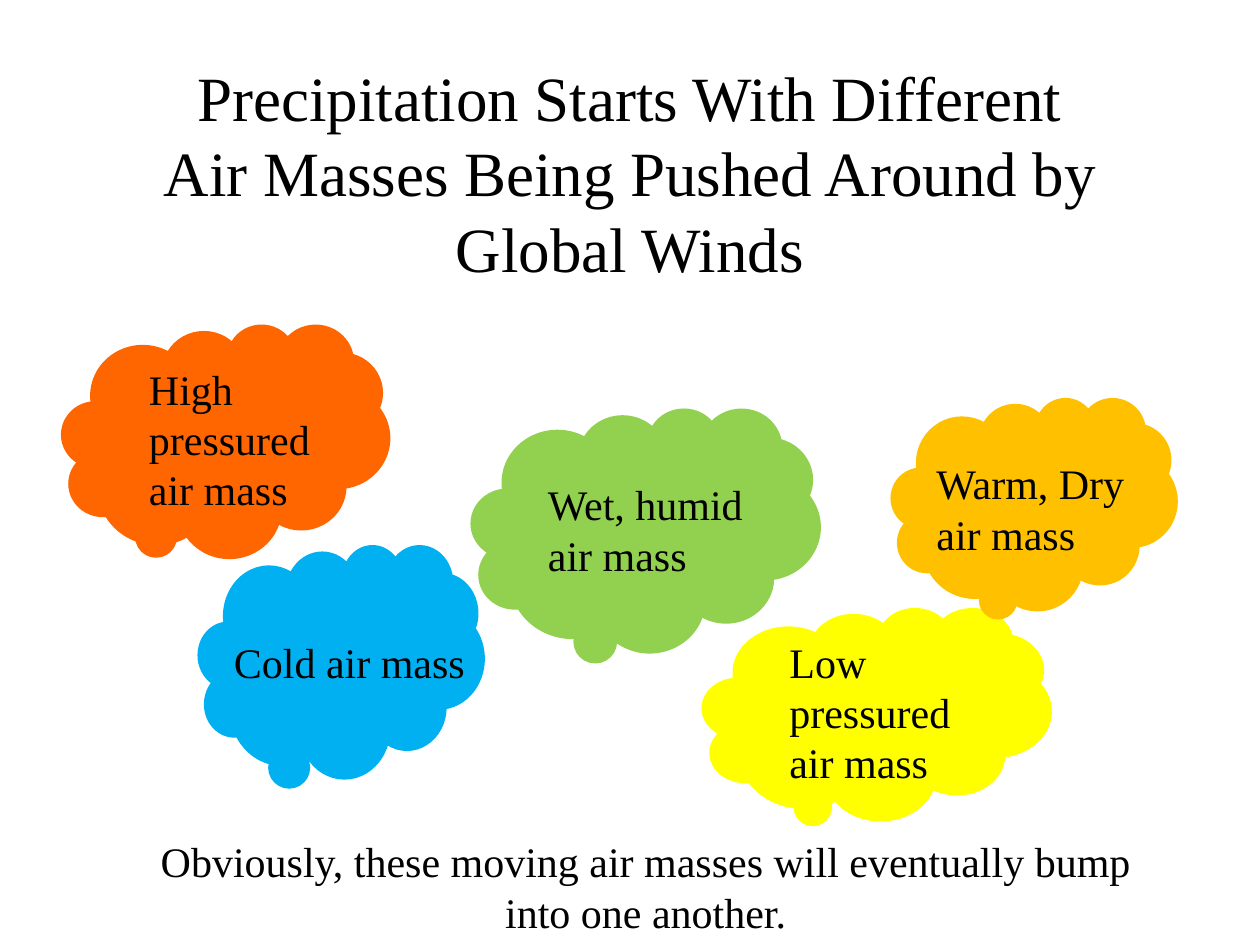
from dataclasses import dataclass

from pptx import Presentation
from pptx.dml.color import RGBColor
from pptx.enum.shapes import MSO_SHAPE
from pptx.enum.text import MSO_ANCHOR, MSO_AUTO_SIZE, PP_ALIGN
from pptx.util import Inches, Pt

CLOUD = MSO_SHAPE.CLOUD_CALLOUT
TOP = MSO_ANCHOR.TOP
NO_FIT, GROW = MSO_AUTO_SIZE.NONE, MSO_AUTO_SIZE.SHAPE_TO_FIT_TEXT
LEFT, CENTER = PP_ALIGN.LEFT, PP_ALIGN.CENTER
TITLE_ONLY = 5
COLUMNS, ROWS = 120, 90


@dataclass(frozen=True)
class Theme:
    font: str = "Times New Roman"
    title_size: int = 36
    body_size: int = 24
    outline: int = 2
    text: str = "000000"
    background: str = "FFFFFF"
    low: str = "FFFF00"
    humid: str = "92D050"
    cold: str = "00B0F0"
    warm: str = "FFC000"
    high: str = "FF6600"


def write_text(frame, text, *, font, size, color, align=LEFT):
    """Write one paragraph; each newline becomes a line break."""
    paragraph = frame.paragraphs[0]
    paragraph.alignment = align
    for index, line in enumerate(text.split("\n")):
        if index:
            paragraph.add_line_break()
        run = paragraph.add_run()
        run.text = line
        run.font.name = font
        run.font.size = Pt(size)
        run.font.color.rgb = RGBColor.from_string(color)


class AirMassSlide:
    def __init__(self, presentation, theme):
        self.theme = theme
        self.column = presentation.slide_width / COLUMNS
        self.row = presentation.slide_height / ROWS
        self.slide = presentation.slides.add_slide(presentation.slide_layouts[TITLE_ONLY])
        fill = self.slide.background.fill
        fill.solid()
        fill.fore_color.rgb = RGBColor.from_string(theme.background)

    def place(self, column, row, width, height):
        return (round(column * self.column), round(row * self.row),
                round(width * self.column), round(height * self.row))

    def title(self, text, area):
        title = self.slide.shapes.title
        title.left, title.top, title.width, title.height = self.place(*area)
        frame = title.text_frame
        frame.word_wrap = True
        frame.auto_size = NO_FIT
        frame.vertical_anchor = TOP
        frame.margin_top = Inches(0.13)
        write_text(frame, text, font=self.theme.font, size=self.theme.title_size,
                   color=self.theme.text, align=CENTER)

    def cloud(self, area, color, tail):
        cloud = self.slide.shapes.add_shape(CLOUD, *self.place(*area))
        cloud.shadow.inherit = False
        for index, offset in enumerate(tail):
            cloud.adjustments[index] = offset
        cloud.fill.solid()
        cloud.fill.fore_color.rgb = RGBColor.from_string(color)
        cloud.line.color.rgb = RGBColor.from_string(color)
        cloud.line.width = Pt(self.theme.outline)

    def label(self, text, area, align=LEFT, wrap=True):
        frame = self.slide.shapes.add_textbox(*self.place(*area)).text_frame
        frame.word_wrap = wrap
        frame.auto_size = GROW
        write_text(frame, text, font=self.theme.font, size=self.theme.body_size,
                   color=self.theme.text, align=align)


def main():
    presentation = Presentation()
    presentation.slide_width, presentation.slide_height = Inches(10), Inches(7.5)
    theme = Theme()
    page = AirMassSlide(presentation, theme)

    # Title
    page.title("Precipitation Starts With Different\n"
               "Air Masses Being Pushed Around by Global Winds", (9, 4, 102, 15))

    # Air masses, back to front: area, colour, tail offset
    for area, color, tail in (
        ((67, 58, 33, 20), theme.low, (-0.15, 0.36)),
        ((45, 39, 33, 23), theme.humid, (-0.12, 0.38)),
        ((19, 52, 27, 22), theme.cold, (-0.16, 0.4)),
        ((85, 38, 27, 20), theme.warm, (-0.1, 0.36)),
        ((6, 31, 31, 22), theme.high, (-0.16, 0.31)),
    ):
        page.cloud(area, color, tail)

    # Names of the air masses
    page.label("High pressured air mass", (13, 34, 22, 15.6))
    page.label("Cold air mass", (21.1, 60, 24.4, 6), wrap=False)
    page.label("Wet, humid air mass", (51, 45, 21, 15.6))
    page.label("Warm, Dry air mass", (88, 43, 22, 10.8))
    page.label("Low pressured air mass", (74, 60, 21, 15.6))

    # Conclusion
    page.label("Obviously, these moving air masses will eventually bump into one another.",
               (13, 79, 97, 10.8), align=CENTER)

    presentation.save("out.pptx")


if __name__ == "__main__":
    main()
